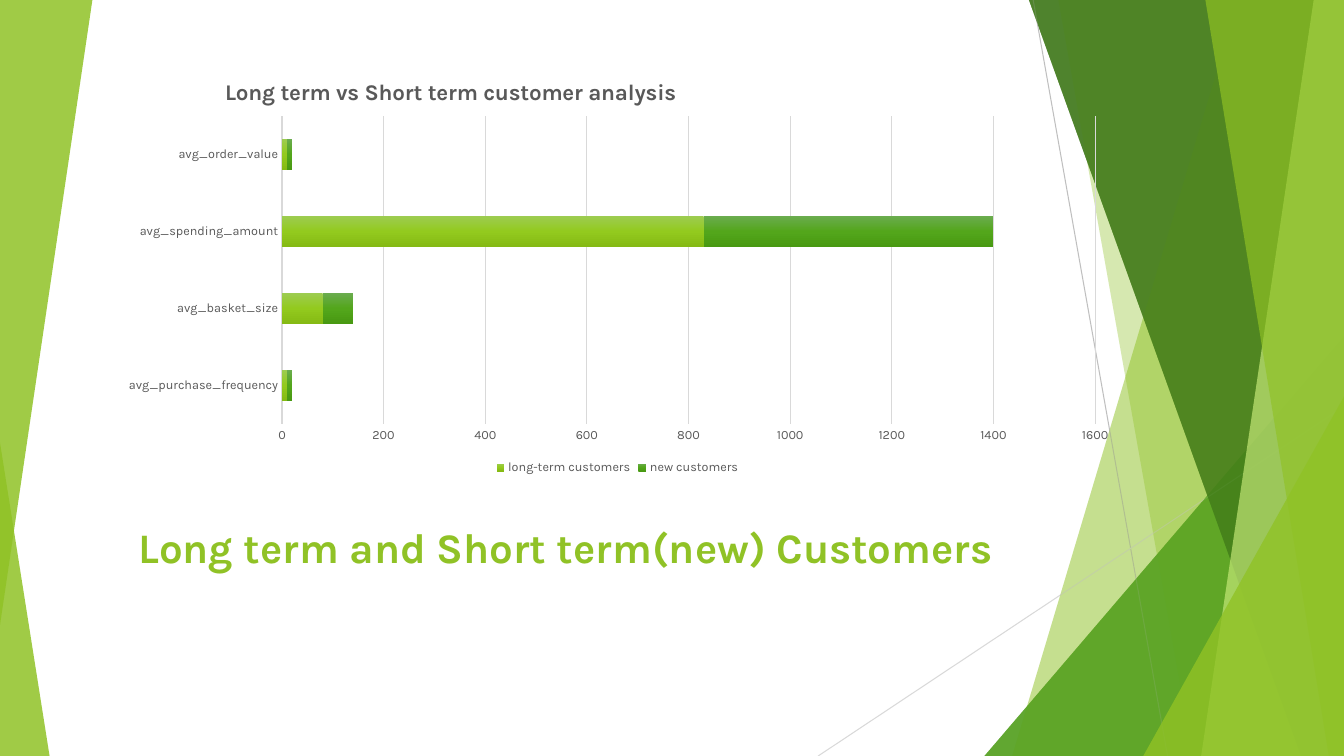
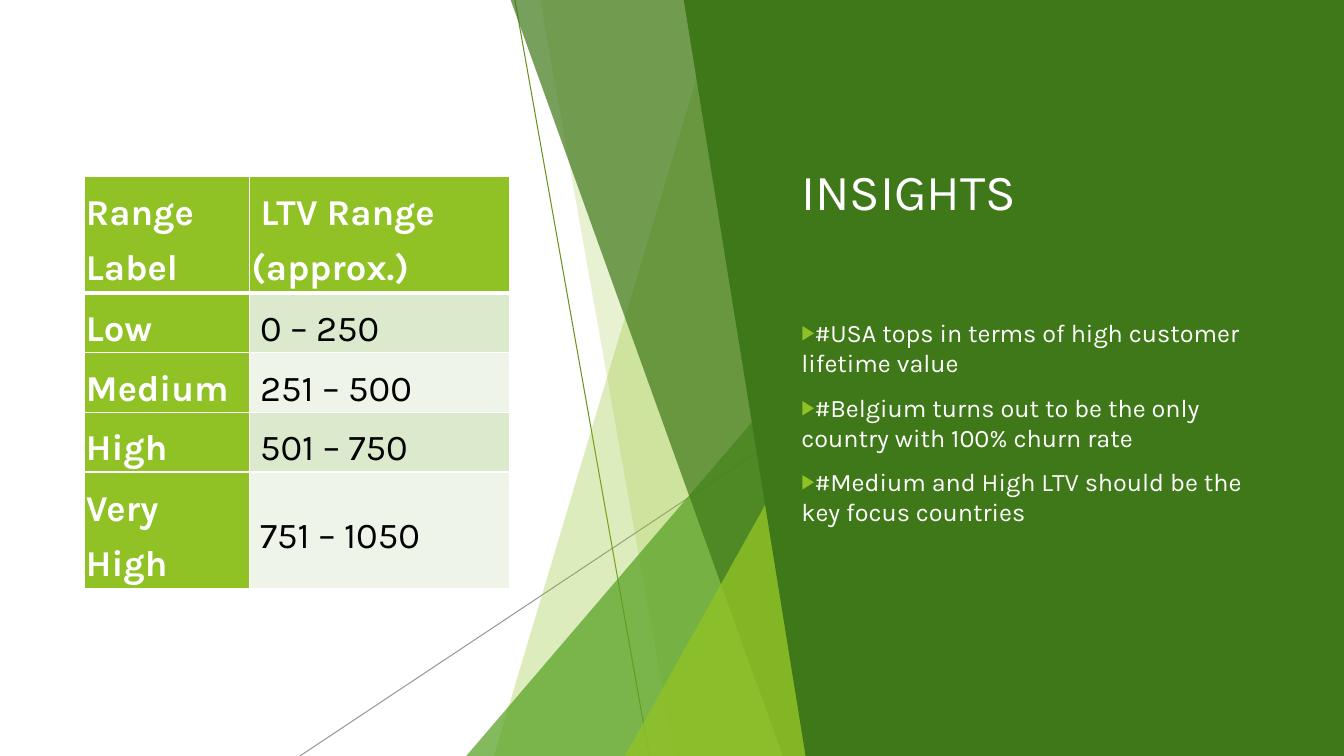
from dataclasses import dataclass

from lxml import etree
from pptx import Presentation
from pptx import util as u
from pptx.chart.data import CategoryChartData
from pptx.dml.color import RGBColor
from pptx.enum import chart as ch
from pptx.enum import shapes, text
from pptx.oxml import parse_xml
from pptx.oxml.ns import nsdecls, qn

COLORS = {
    "lime": "90C226", "green": "54A021", "forest": "3F7819", "pale": "C0E474",
    "white": "FFFFFF", "black": "000000", "text": "595959", "rule": "D9D9D9",
    "silver": "BFBFBF", "olive": "6C921D", "gray": "808080",
    "band_dark": "DBE9CD", "band_light": "EEF4E8",
}
FONT = "Karla"
COLS, ROWS = 160, 90  # grid cells of 1/12 inch
CELL = u.Inches(1) / 12
SHIFT = -61.7  # columns the facets move left beside the dark panel


@dataclass
class Facet:
    """Area right of a slanted edge; a triangle when it starts below the top."""
    top_col: float
    bottom_col: float
    color: str
    alpha: int
    top_row: float = 0
    wide_only: bool = False


@dataclass
class Ray:
    start: tuple[float, float]
    end: tuple[float, float]
    color: str
    alpha: int = 100


@dataclass
class Series:
    name: str
    values: tuple[int, ...]
    gradient: tuple[str, str, str]


FACETS = [
    Facet(147.4, 120.5, "lime", 30),
    Facet(126, 142, "lime", 20),
    Facet(COLS, 117.2, "green", 72, top_row=40),
    Facet(122.5, 154.9, "forest", 70),
    Facet(156.4, 143, "pale", 70, wide_only=True),
    Facet(143.5, 158.2, "lime", 65, wide_only=True),
    Facet(COLS, 136.1, "lime", 80, top_row=47.2),
]
STEEP = (123, 0), (139, ROWS)
FLAT = (COLS, 48.4), (97.4, ROWS)


# Basic helpers
def cells(n: float) -> int:
    return round(n * CELL)


def rgb(name: str) -> RGBColor:
    return RGBColor.from_string(COLORS[name])


def set_alpha(parent, percent: int) -> None:
    if percent < 100:
        color = next(parent.iter(qn("a:srgbClr")))
        etree.SubElement(color, qn("a:alpha"), val=str(percent * 1000))


def paint(sp, color: str, alpha: int = 100) -> None:
    sp.shadow.inherit = False
    sp.fill.solid()
    sp.fill.fore_color.rgb = rgb(color)
    sp.line.fill.background()
    set_alpha(sp._element.spPr, alpha)


def style_font(font, size: float, color: str, bold: bool = False) -> None:
    font.name, font.size, font.bold = FONT, u.Pt(size), bold
    font.color.rgb = rgb(color)


def place(slide, sp, left: float, top: float, width: float, height: float) -> None:
    """Position a placeholder and bring it in front of the decoration."""
    sp.left, sp.top, sp.width, sp.height = map(cells, (left, top, width, height))
    sp.text_frame.word_wrap = True
    sp.text_frame.auto_size = text.MSO_AUTO_SIZE.NONE
    slide.shapes._spTree.append(sp._element)


def set_title(slide, words: str, box: tuple, size: float, color: str, bold: bool,
              align, anchor):
    sp = slide.shapes.title
    place(slide, sp, *box)
    tf = sp.text_frame
    tf.text, tf.vertical_anchor = words, anchor
    p = tf.paragraphs[0]
    p.alignment = align
    style_font(p.runs[0].font, size, color, bold)
    return tf


# Decoration
def add_polygon(slide, points: list, color: str, alpha: int = 100) -> None:
    corners = [(cells(x), cells(y)) for x, y in points]
    builder = slide.shapes.build_freeform(*corners[0], scale=1.0)
    builder.add_line_segments(corners[1:], close=True)
    paint(builder.convert_to_shape(), color, alpha)


def add_triangle(slide, left: float, top: float, right: float, bottom: float,
                 color: str, alpha: int, apex: float, turn: int = 0) -> None:
    sp = slide.shapes.add_shape(
        shapes.MSO_SHAPE.ISOSCELES_TRIANGLE,
        *map(cells, (left, top, right - left, bottom - top)))
    sp.adjustments[0] = apex
    sp.rotation = turn
    paint(sp, color, alpha)


def add_facets(slide, wide: bool, shift: float = 0) -> None:
    right = COLS + shift
    for f in FACETS:
        if f.wide_only and not wide:
            continue
        top, bottom = f.top_col + shift, f.bottom_col + shift
        if f.top_row:
            add_triangle(slide, bottom, f.top_row, right, ROWS, f.color, f.alpha, 1)
        else:
            add_polygon(slide, [(top, 0), (right, 0), (right, ROWS), (bottom, ROWS)],
                        f.color, f.alpha)


def add_rays(slide, rays: list[Ray], shift: float = 0) -> None:
    for ray in rays:
        (x1, y1), (x2, y2) = ray.start, ray.end
        line = slide.shapes.add_connector(
            shapes.MSO_CONNECTOR.STRAIGHT,
            *map(cells, (x1 + shift, y1, x2 + shift, y2)))
        line.line.color.rgb = rgb(ray.color)
        line.line.width = u.Pt(0.75)
        set_alpha(line._element.spPr, ray.alpha)
        etree.SubElement(line._element.spPr, qn("a:effectLst"))


# Chart
def manual_layout(inner: bool, **shares: float):
    """Layout element from shares of the chart's size."""
    target = '<c:layoutTarget val="inner"/>' if inner else ""
    modes = '<c:xMode val="edge"/><c:yMode val="edge"/>'
    sizes = "".join(f'<c:{key} val="{val}"/>' for key, val in shares.items())
    return parse_xml(f'<c:layout {nsdecls("c")}><c:manualLayout>{target}{modes}{sizes}'
                     '</c:manualLayout></c:layout>')


def fill_gradient(series, stops: tuple[str, str, str]) -> None:
    marks = "".join(f'<a:gs pos="{i * 50000}"><a:srgbClr val="{c}"/></a:gs>'
                    for i, c in enumerate(stops))
    series.format.fill.background()
    spPr = series._element.find(qn("c:spPr"))
    spPr.replace(spPr.find(qn("a:noFill")), parse_xml(
        f'<a:gradFill {nsdecls("a")}><a:gsLst>{marks}</a:gsLst>'
        '<a:lin ang="5400000" scaled="0"/></a:gradFill>'))


def add_stacked_bars(slide, box: tuple, title: str, categories: list[str],
                     series: list[Series]) -> None:
    data = CategoryChartData()
    data.categories = categories
    for item in series:
        data.add_series(item.name, item.values)
    chart = slide.shapes.add_chart(ch.XL_CHART_TYPE.BAR_STACKED,
                                   *map(cells, box), data).chart
    style_font(chart.font, 10, "black")
    plot = chart.plots[0]
    plot.gap_width, plot.overlap, plot.vary_by_categories = 150, 100, False
    for drawn, item in zip(plot.series, series):
        fill_gradient(drawn, item.gradient)

    # Axes
    for axis in (chart.category_axis, chart.value_axis):
        axis.major_tick_mark = axis.minor_tick_mark = ch.XL_TICK_MARK.NONE
        style_font(axis.tick_labels.font, 9, "text")
    chart.category_axis.format.line.color.rgb = rgb("rule")
    chart.category_axis.format.line.width = u.Pt(1)
    values = chart.value_axis
    values.minimum_scale, values.maximum_scale, values.major_unit = 0, 1600, 200
    values.format.line.fill.background()
    grid = values.major_gridlines.format.line
    grid.color.rgb, grid.width = rgb("rule"), u.Pt(0.75)

    # Legend and title
    chart.has_legend = True
    chart.legend.position = ch.XL_LEGEND_POSITION.BOTTOM
    chart.legend.include_in_layout = False
    style_font(chart.legend.font, 9, "text")
    chart.has_title = True
    tf = chart.chart_title.text_frame
    tf.text = title
    style_font(tf.paragraphs[0].runs[0].font, 16, "text", True)

    # Placement inside the chart
    heading = chart.chart_title._element
    area = chart._chartSpace.chart.plotArea
    for parent in (heading, area):
        for old in parent.findall(qn("c:layout")):
            parent.remove(old)
    heading.find(qn("c:tx")).addnext(manual_layout(False, x=0.11, y=0.04))
    area.insert(0, manual_layout(True, x=0.17, y=0.14, w=0.8, h=0.73))


# Table
def set_borders(cell, bottom: float) -> None:
    tcPr = cell._tc.get_or_add_tcPr()
    for i, (side, width) in enumerate(zip("LRTB", (1, 1, 1, bottom))):
        tcPr.insert(i, parse_xml(
            f'<a:ln{side} {nsdecls("a")} w="{u.Pt(width)}"><a:solidFill>'
            f'<a:srgbClr val="{COLORS["white"]}"/></a:solidFill></a:ln{side}>'))


def add_range_table(slide, left: float, top: float, widths: list[float],
                    heights: list[float], rows: list[tuple[str, str]]) -> None:
    table = slide.shapes.add_table(
        len(rows), len(widths),
        *map(cells, (left, top, sum(widths), sum(heights)))).table
    for column, width in zip(table.columns, widths):
        column.width = cells(width)
    for i, (row, height) in enumerate(zip(rows, heights)):
        table.rows[i].height = cells(height)
        for j, words in enumerate(row):
            cell = table.cell(i, j)
            label = i == 0 or j == 0
            band = "band_dark" if i % 2 else "band_light"
            cell.fill.solid()
            cell.fill.fore_color.rgb = rgb("lime" if label else band)
            cell.vertical_anchor = text.MSO_ANCHOR.MIDDLE
            cell.margin_left = cell.margin_right = u.Inches(0.02)
            cell.margin_top = cell.margin_bottom = u.Inches(0.02)
            cell.text_frame.text = words
            p = cell.text_frame.paragraphs[0]
            p.line_spacing = 1.3
            style_font(p.runs[0].font, 26, "white" if label else "black", label)
            set_borders(cell, bottom=1 if i else 3)


# Bulleted list
def set_bullets(tf, items: list[str]) -> None:
    tf.text = "\n".join(items)
    for i, p in enumerate(tf.paragraphs):
        pPr = p._p.get_or_add_pPr()
        pPr.set("marL", "0")
        pPr.set("indent", "0")
        color = etree.SubElement(pPr, qn("a:buClr"))
        etree.SubElement(color, qn("a:srgbClr"), val=COLORS["lime"])
        etree.SubElement(pPr, qn("a:buSzPct"), val="80000")
        etree.SubElement(pPr, qn("a:buChar"), char="▶")
        p.space_before = u.Pt(10 if i else 0)
        style_font(p.runs[0].font, 18, "white")


# Slides
def build_customers(prs) -> None:
    s = prs.slides.add_slide(prs.slide_layouts[5])
    add_facets(s, wide=True)
    add_triangle(s, 0, 52.7, 5.9, ROWS, "lime", 85, apex=0)
    add_rays(s, [Ray(*STEEP, "silver"), Ray(*FLAT, "rule")])
    add_facets(s, wide=True)  # second layer deepens the tints
    add_triangle(s, 0, 0, 11, 74.4, "lime", 85, apex=1, turn=180)
    tf = set_title(s, "Long term and Short term(new) Customers", (13, 59.8, 108.7, 14.4),
                   30, "lime", True, text.PP_ALIGN.CENTER, text.MSO_ANCHOR.BOTTOM)
    tf.paragraphs[0].line_spacing = 0.9
    tf.margin_bottom = cells(6)
    add_stacked_bars(
        s, (13, 6.8, 121, 50.2), "Long term vs Short term customer analysis",
        ["avg_purchase_frequency", "avg_basket_size", "avg_spending_amount",
         "avg_order_value"],
        [Series("long-term customers", (10, 80, 830, 10), ("9DCC51", "93CA1E", "85BA14")),
         Series("new customers", (10, 60, 570, 10), ("6BAC4F", "53A61B", "489912"))])


def build_insights(prs) -> None:
    s = prs.slides.add_slide(prs.slide_layouts[1])
    add_rays(s, [Ray(*STEEP, "olive"), Ray(*FLAT, "gray", 80)], SHIFT)
    add_facets(s, wide=False, shift=SHIFT)
    add_polygon(s, [(81.4, 0), (COLS, 0), (COLS, ROWS), (95.9, ROWS)], "forest")
    set_title(s, "INSIGHTS", (94.2, 8, 59.3, 29.3), 36, "white", False,
              text.PP_ALIGN.LEFT, text.MSO_ANCHOR.MIDDLE)
    body = s.placeholders[1]
    place(s, body, 94.2, 37.2, 59.3, 43.6)
    set_bullets(body.text_frame, [
        "#USA tops in terms of high customer lifetime value",
        "#Belgium turns out to be the only country with 100% churn rate",
        "#Medium and High LTV should be the key focus countries"])
    add_range_table(s, 10, 21, [19.7, 31], [13.9, 7.1, 7.1, 7.1, 13.9], [
        ("Range Label", " LTV Range (approx.)"), ("Low", " 0 – 250"),
        ("Medium", " 251 – 500"), ("High", " 501 – 750"), ("Very High", " 751 – 1050")])


def main() -> None:
    prs = Presentation()
    prs.slide_width, prs.slide_height = cells(COLS), cells(ROWS)
    build_customers(prs)
    build_insights(prs)
    prs.save("out.pptx")


if __name__ == "__main__":
    main()
